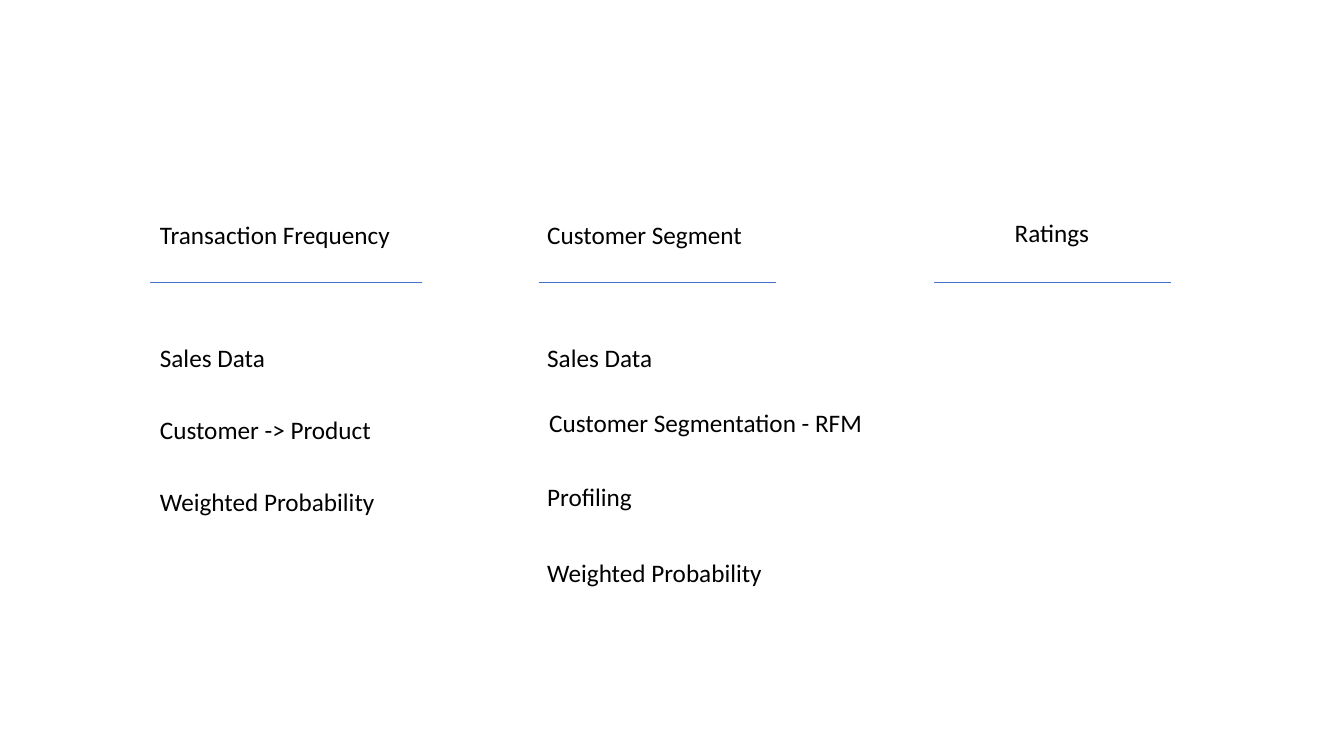
from lxml.etree import SubElement
from pptx import Presentation
from pptx.dml.color import RGBColor
from pptx.enum.shapes import MSO_CONNECTOR
from pptx.enum.text import MSO_AUTO_SIZE
from pptx.oxml.ns import qn
from pptx.util import Cm, Pt

BLACK = RGBColor(0x00, 0x00, 0x00)
BLUE = RGBColor(0x44, 0x72, 0xC4)

LABEL_HEIGHT = 1.03
RULE_TOP = 7.11
LABEL_FONT = {"name": "Calibri", "size": Pt(18)}
LABEL_FRAME = {"word_wrap": False, "auto_size": MSO_AUTO_SIZE.SHAPE_TO_FIT_TEXT}

# Rule start and end, then labels as (text, left, top, width), all in cm
COLUMNS = [
    ((3.78, 10.64), [
        ("Transaction Frequency", 3.78, 5.41, 6.38),
        ("Sales Data", 3.78, 8.51, 3.2),
        ("Customer -> Product", 3.78, 10.31, 5.89),
        ("Weighted Probability", 3.78, 12.14, 5.99),
    ]),
    ((13.59, 19.56), [
        ("Customer Segment", 13.54, 5.41, 5.51),
        ("Sales Data", 13.54, 8.51, 3.2),
        ("Customer Segmentation - RFM", 13.59, 10.13, 8.48),
        ("Profiling", 13.54, 12.01, 2.67),
        ("Weighted Probability", 13.54, 13.92, 5.99),
    ]),
    ((23.55, 29.51), [
        ("Ratings", 25.32, 5.36, 2.41),
    ]),
]

prs = Presentation()
prs.slide_width, prs.slide_height = Cm(33.87), Cm(19.05)
slide = prs.slides.add_slide(prs.slide_layouts[6])

for (rule_start, rule_end), labels in COLUMNS:
    rule = slide.shapes.add_connector(
        MSO_CONNECTOR.STRAIGHT, Cm(rule_start), Cm(RULE_TOP), Cm(rule_end), Cm(RULE_TOP))
    rule.line.color.rgb = BLUE
    rule.line.width = Pt(0.5)
    SubElement(rule._element.spPr, qn("a:effectLst"))

    for wording, left, top, width in labels:
        label = slide.shapes.add_textbox(Cm(left), Cm(top), Cm(width), Cm(LABEL_HEIGHT))
        frame = label.text_frame
        for setting, value in LABEL_FRAME.items():
            setattr(frame, setting, value)
        run = frame.paragraphs[0].add_run()
        run.text = wording
        for setting, value in LABEL_FONT.items():
            setattr(run.font, setting, value)
        run.font.color.rgb = BLACK

prs.save("out.pptx")
